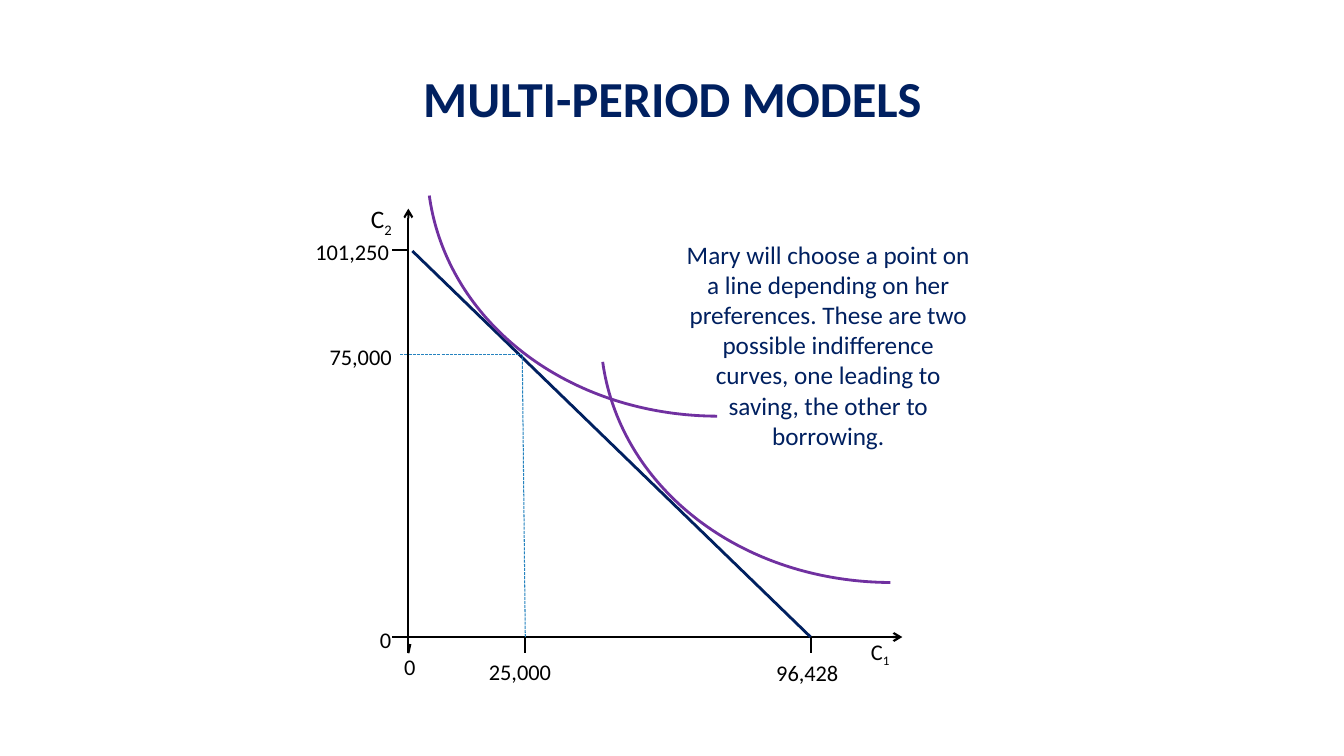
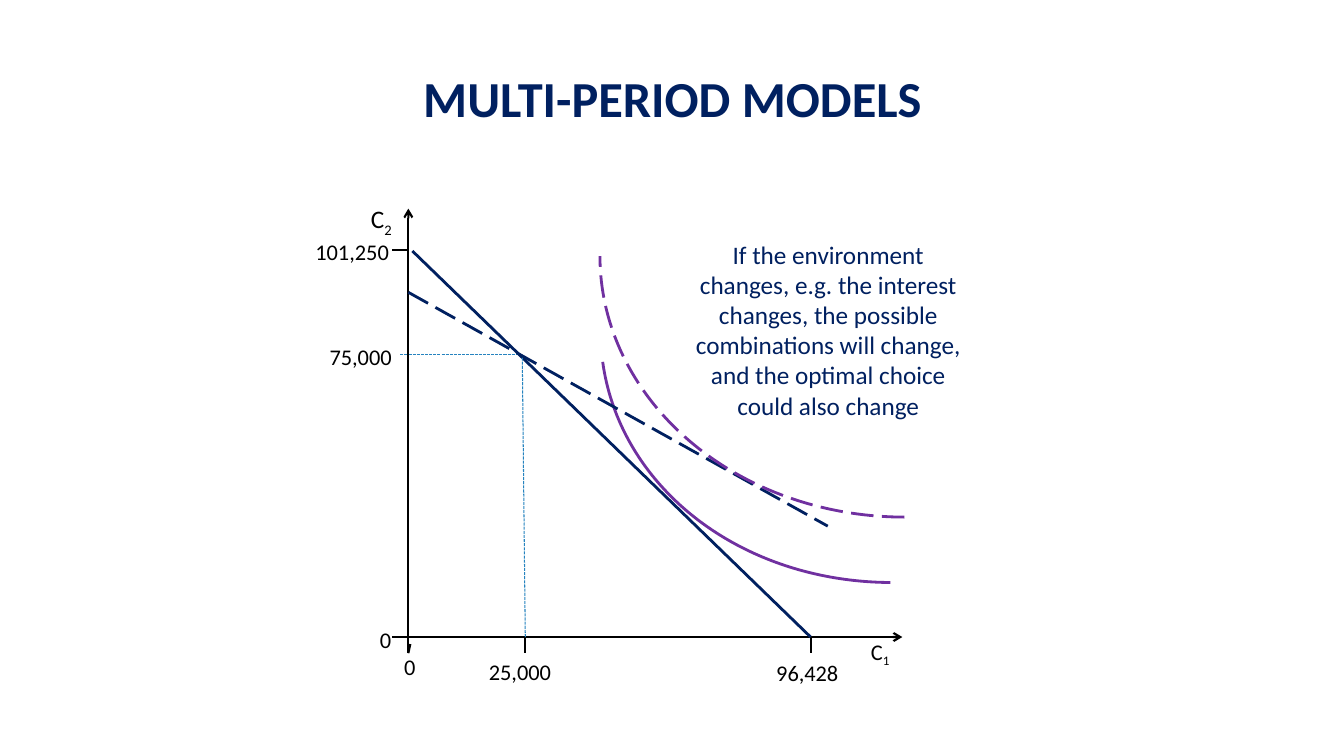
from collections import namedtuple
from pptx import Presentation, util as u
from pptx.dml.color import RGBColor
from pptx.enum import dml, shapes, text
from pptx.oxml.ns import qn
from lxml import etree

COLORS = {"axis": "000000", "navy": "002060", "curve": "7030A0", "guide": "2683BF"}
FONT = "Calibri"
SIZE = (13.33, 7.5)
COLS, ROWS = 49, 42.5
X_INCOME, X_MAX = 11.6, 39.9
Y_INCOME, Y_MAX = 14.5, 4.1
TICK = 1.6
ARC = (60.4, 51.8)
Box = namedtuple("Box", "x y w h")
TITLE = Box(0.92, 0.4, 11.5, 1.21)
PLOT = Box(4.05, 2.07, 4.9, 4.25)


def cells(box, x, y, w, h):
    cw, ch = box.w / COLS, box.h / ROWS
    return [u.Inches(v) for v in (box.x + x * cw, box.y + y * ch, w * cw, h * ch)]


def style_font(font, size, color):
    font.name = FONT
    font.size = u.Pt(size)
    font.color.rgb = RGBColor.from_string(COLORS[color])


def style_line(line, color, width, dash=None):
    line.color.rgb = RGBColor.from_string(COLORS[color])
    line.width = u.Pt(width)
    if dash:
        line.dash_style = dash


def add_line(s, box, start, end, color="axis", width=1.5, dash=None, arrow=False):
    x1, y1, _, _ = cells(box, *start, 0, 0)
    x2, y2, _, _ = cells(box, *end, 0, 0)
    c = s.shapes.add_connector(shapes.MSO_CONNECTOR.STRAIGHT, x1, y1, x2, y2)
    style_line(c.line, color, width, dash)
    sp_pr = c._element.spPr
    if arrow:
        etree.SubElement(sp_pr.find(qn("a:ln")), qn("a:headEnd"), type="arrow")
    etree.SubElement(sp_pr, qn("a:effectLst"))


def add_curve(s, box, x, y, rotation=172.2, start=168.51, dash=None):
    sp = s.shapes.add_shape(shapes.MSO_SHAPE.ARC, *cells(box, x, y, *ARC))
    sp.shadow.inherit = False
    sp.fill.background()
    sp.rotation = rotation
    sp.adjustments[0] = start
    sp.adjustments[1] = 0
    style_line(sp.line, "curve", 2, dash)


def add_text(s, box, place, content, size=16, color="axis", subscript="", align=None):
    tf = s.shapes.add_textbox(*cells(box, *place)).text_frame
    tf.word_wrap = True
    tf.auto_size = text.MSO_AUTO_SIZE.SHAPE_TO_FIT_TEXT
    p = tf.paragraphs[0]
    p.alignment = align
    p.add_run().text = content
    if subscript:
        r = p.add_run()
        r.text = subscript
        r.font._element.set("baseline", "-25000")
    style_font(p.font, size, color)


def add_title(s, box, content):
    sp = s.shapes.title
    sp.left, sp.top, sp.width, sp.height = [u.Inches(v) for v in box]
    tf = sp.text_frame
    tf.text = content
    tf.auto_size = text.MSO_AUTO_SIZE.NONE
    tf.vertical_anchor = text.MSO_ANCHOR.MIDDLE
    p = tf.paragraphs[0]
    p.alignment = text.PP_ALIGN.CENTER
    p.line_spacing = 0.9
    style_font(p.font, 36, "navy")
    p.font.bold = True


def add_axes(s, box):
    add_line(s, box, (0, 0), (0, ROWS + TICK), arrow=True)
    add_line(s, box, (COLS, ROWS), (0, ROWS), arrow=True)
    add_line(s, box, (0, ROWS + TICK), (0.2, ROWS + 0.7))
    for x in (X_INCOME, X_MAX):
        add_line(s, box, (x, ROWS), (x, ROWS + TICK))
    for y in (Y_MAX, ROWS):
        add_line(s, box, (-TICK, y), (0, y))
    for content, place in (
        ("0", (-1.4, 43.6, 3.7, 3.1)),
        ("0", (-3.8, 40.9, 2.3, 3.1)),
        ("101,250", (-10.2, 2.4, 10.6, 3.7)),
        ("75,000", (-8.8, 12.9, 8.8, 3.7)),
        ("25,000", (7, 44.1, 8.8, 3.7)),
        ("96,428", (35.5, 44.2, 10.8, 3.7)),
    ):
        add_text(s, box, place, content)
    add_text(s, box, (-4.7, -1, 4.7, 3.4), "C", size=18, subscript="2")
    add_text(s, box, (44.9, 42.1, 10.8, 3.1), "C", subscript="1")


def add_budget(s, box):
    add_line(s, box, (0.4, 4.2), (X_MAX, ROWS), "navy", 2)
    income = (X_INCOME - 0.3, Y_INCOME)
    for end in ((X_INCOME, ROWS), (-0.8, Y_INCOME)):
        add_line(s, box, end, income, "guide", 0.75, dml.MSO_LINE.SQUARE_DOT)
    add_curve(s, box, 19, -14.8)


def add_saving_curve(s, box):
    add_curve(s, box, 1.8, -31.3)


def add_new_budget(s, box):
    dash = dml.MSO_LINE.LONG_DASH
    add_line(s, box, (0, 8.3), (41.6, 31.5), "navy", 2, dash)
    add_curve(s, box, 19, -21.2, rotation=180, start=162, dash=dash)


def build_slide(prs, note, add_extra):
    s = prs.slides.add_slide(prs.slide_layouts[5])
    add_title(s, TITLE, "MULTI-PERIOD MODELS")
    add_axes(s, PLOT)
    add_budget(s, PLOT)
    add_extra(s, PLOT)
    add_text(s, PLOT, (26.5, 2.5, 30.3, 16.2), note, 18, "navy",
             align=text.PP_ALIGN.CENTER)


def main():
    prs = Presentation()
    prs.slide_width, prs.slide_height = [u.Inches(v) for v in SIZE]
    build_slide(prs, "Mary will choose a point on a line depending on her preferences. "
                "These are two possible indifference curves, one leading to saving, "
                "the other to borrowing.", add_saving_curve)
    build_slide(prs, "If the environment changes, e.g. the interest changes, the possible "
                "combinations will change, and the optimal choice could also change",
                add_new_budget)
    prs.save("out.pptx")


if __name__ == "__main__":
    main()
